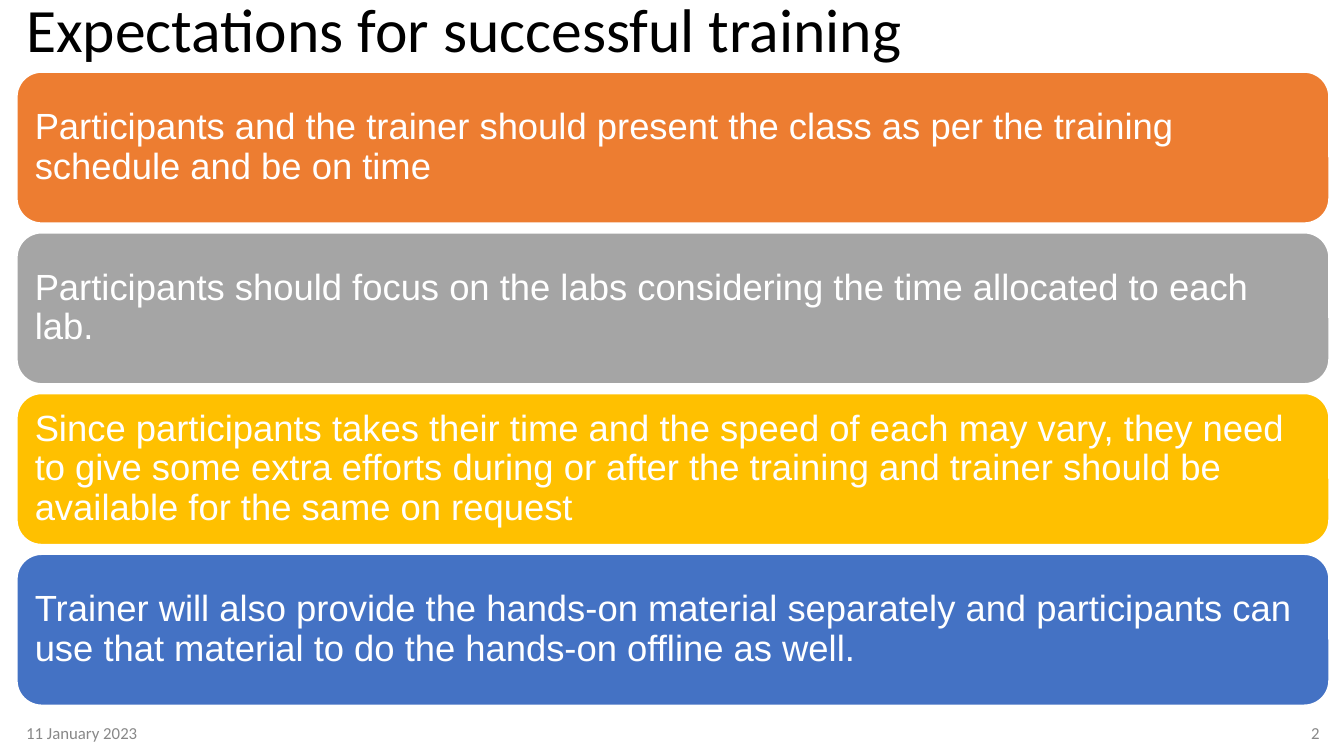
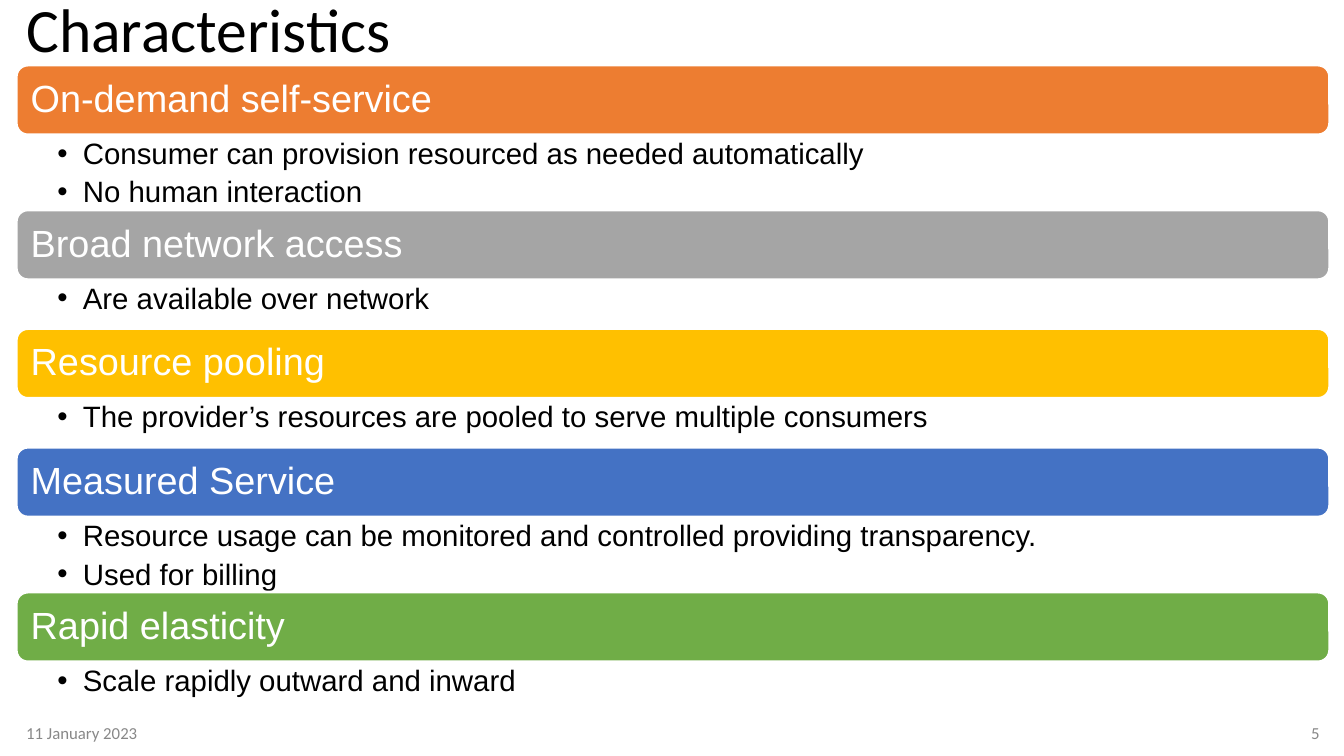
from lxml.etree import SubElement
from pptx import Presentation
from pptx.dml.color import RGBColor
from pptx.enum.shapes import MSO_SHAPE
from pptx.enum.text import MSO_ANCHOR, MSO_AUTO_SIZE, PP_ALIGN
from pptx.oxml.ns import qn
from pptx.util import Cm, Pt

WHITE = RGBColor(0xFF, 0xFF, 0xFF)
BLACK = RGBColor(0, 0, 0)
MUTED = RGBColor(0x88, 0x88, 0x88)
ORANGE = RGBColor(0xED, 0x7D, 0x31)
GREY = RGBColor(0xA5, 0xA5, 0xA5)
GOLD = RGBColor(0xFF, 0xC0, 0x00)
BLUE = RGBColor(0x44, 0x72, 0xC4)
GREEN = RGBColor(0x70, 0xAD, 0x47)
COLORS = [ORANGE, GREY, GOLD, BLUE, GREEN]

HEAD, BODY = "Calibri", "Arial"
DATE = "11 January 2023"

# Lengths in centimetres
LEFT, WIDTH = 0.41, 33.1
RULE_TOP, RULE_HIGH, RULE_STEP = 1.8, 3.84, 4.05
TRAIT_TOP, TRAIT_HIGH = 1.64, 1.76
LIST_HIGH = {1: 1.23, 2: 1.89}
FOOT_TOP, FOOT_HIGH = 17.96, 1.02
FOOT_PAD = (0.25, 0.13, 0.25, 0.13)

RULES = [
    "Participants and the trainer should present the class as per the "
    "training schedule and be on time",
    "Participants should focus on the labs considering the time allocated "
    "to each lab.",
    "Since participants takes their time and the speed of each may vary, "
    "they need to give some extra efforts during or after the training and "
    "trainer should be available for the same on request",
    "Trainer will also provide the hands-on material separately and "
    "participants can use that material to do the hands-on offline as well.",
]
TRAITS = [
    ("On-demand self-service",
     ["Consumer can provision resourced as needed automatically",
      "No human interaction"]),
    ("Broad network access", ["Are available over network"]),
    ("Resource pooling",
     ["The provider’s resources are pooled to serve multiple consumers"]),
    ("Measured Service",
     ["Resource usage can be monitored and controlled providing transparency.",
      "Used for billing"]),
    ("Rapid elasticity", ["Scale rapidly outward and inward"]),
]


def set_frame(shape, pad, anchor=MSO_ANCHOR.MIDDLE):
    """Set wrapping, insets and anchor, and return the text frame."""
    frame = shape.text_frame
    frame.word_wrap = True
    frame.auto_size = MSO_AUTO_SIZE.NONE
    frame.vertical_anchor = anchor
    (frame.margin_left, frame.margin_top,
     frame.margin_right, frame.margin_bottom) = map(Cm, pad)
    return frame


def add_run(para, text, size, font, color, align=PP_ALIGN.LEFT):
    para.alignment = align
    run = para.add_run()
    run.text = text
    run.font.size = Pt(size)
    run.font.name = font
    run.font.color.rgb = color


def add_bullet(para):
    props = para._p.get_or_add_pPr()
    props.set("marL", str(Cm(0.64)))
    props.set("indent", str(-Cm(0.64)))
    SubElement(props, qn("a:buFont")).set("typeface", BODY)
    SubElement(props, qn("a:buChar")).set("char", "•")


def add_bar(slide, top, high, color, text, size):
    bar = slide.shapes.add_shape(MSO_SHAPE.ROUNDED_RECTANGLE,
                                 Cm(LEFT), Cm(top), Cm(WIDTH), Cm(high))
    bar.shadow.inherit = False
    bar.fill.solid()
    bar.fill.fore_color.rgb = color
    bar.line.color.rgb = WHITE
    bar.line.width = Pt(2)
    para = set_frame(bar, (0.28,) * 4).paragraphs[0]
    para.line_spacing = 0.9
    add_run(para, text, size, BODY, WHITE)


def add_list(slide, top, high, items):
    box = slide.shapes.add_textbox(Cm(LEFT), Cm(top), Cm(WIDTH), Cm(high))
    frame = set_frame(box, (1.04, 0.1, 0.53, 0.1), MSO_ANCHOR.TOP)
    for num, item in enumerate(items):
        para = frame.add_paragraph() if num else frame.paragraphs[0]
        add_bullet(para)
        para.line_spacing = 0.9
        para.space_after = Pt(5)
        add_run(para, item, 21, BODY, BLACK)


def add_foot(slide, left, wide, text, align):
    box = slide.shapes.add_textbox(Cm(left), Cm(FOOT_TOP),
                                   Cm(wide), Cm(FOOT_HIGH))
    para = set_frame(box, FOOT_PAD).paragraphs[0]
    add_run(para, text, 12, HEAD, MUTED, align)


def add_slide(deck, title, page):
    """Add a slide with its title, date and page number."""
    slide = deck.slides.add_slide(deck.slide_layouts[5])
    head = slide.shapes.title
    head.left, head.top = Cm(LEFT), Cm(0)
    head.width, head.height = Cm(WIDTH), Cm(1.63)
    para = set_frame(head, FOOT_PAD).paragraphs[0]
    para.line_spacing = 0.9
    add_run(para, title, 44, HEAD, BLACK)
    add_foot(slide, LEFT, 7.62, DATE, PP_ALIGN.LEFT)
    add_foot(slide, LEFT + WIDTH - 2, 2, page, PP_ALIGN.RIGHT)
    return slide


def add_rules(deck):
    slide = add_slide(deck, "Expectations for successful training", "2")
    for num, (text, color) in enumerate(zip(RULES, COLORS)):
        add_bar(slide, RULE_TOP + num * RULE_STEP, RULE_HIGH, color, text, 26)


def add_traits(deck):
    slide = add_slide(deck, "Characteristics", "5")
    top = TRAIT_TOP
    for (name, items), color in zip(TRAITS, COLORS):
        add_bar(slide, top, TRAIT_HIGH, color, name, 27)
        top += TRAIT_HIGH
        high = LIST_HIGH[len(items)]
        add_list(slide, top, high, items)
        top += high


def main():
    deck = Presentation()
    deck.slide_width, deck.slide_height = Cm(33.87), Cm(19.05)
    add_rules(deck)
    add_traits(deck)
    deck.save("out.pptx")


if __name__ == "__main__":
    main()
